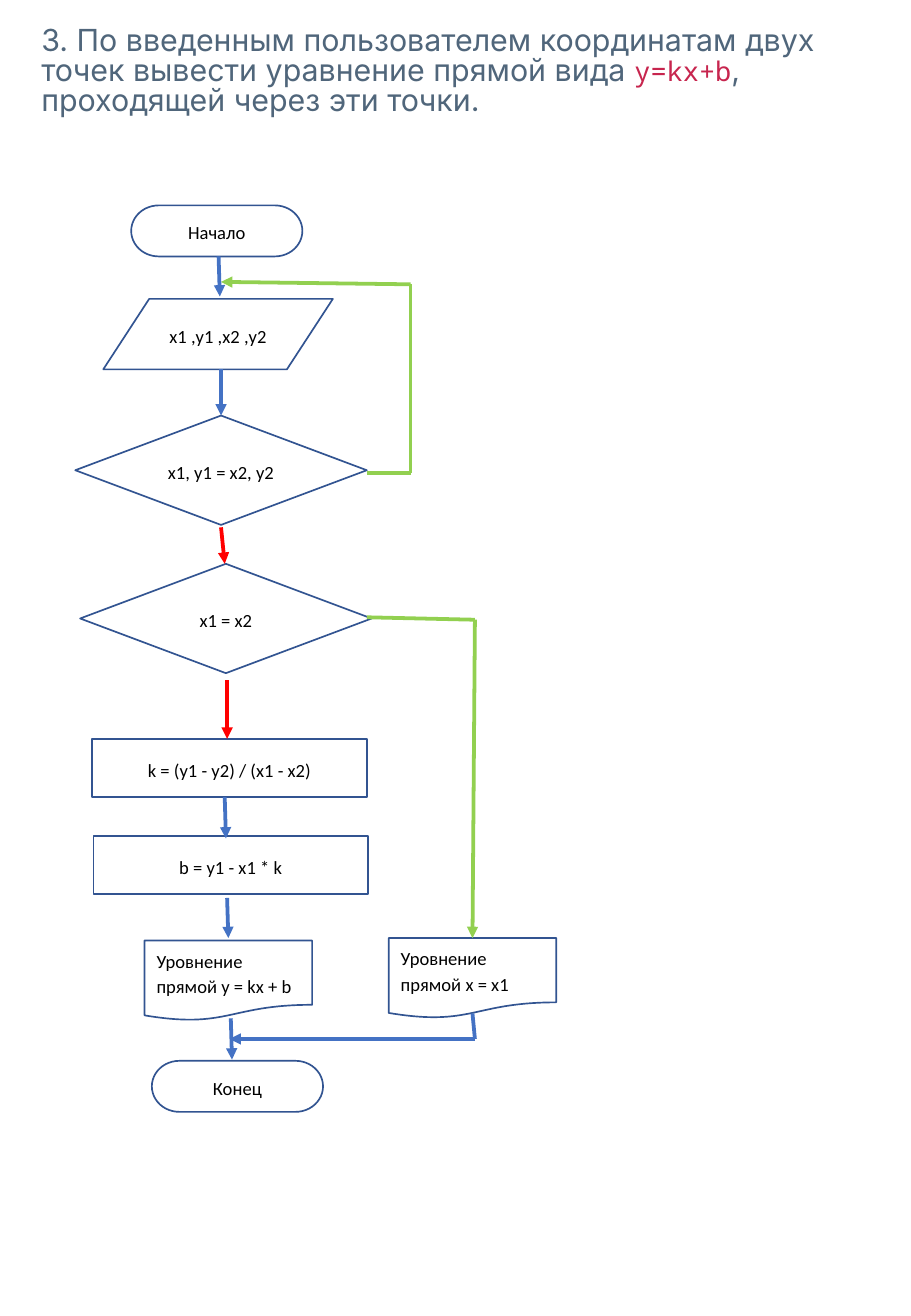
from dataclasses import dataclass
from itertools import pairwise

from lxml import etree
from pptx import Presentation
from pptx import util as u
from pptx.dml.color import RGBColor
from pptx.enum import shapes, text
from pptx.oxml import ns


@dataclass(frozen=True)
class Theme:
    white: str = "FFFFFF"
    black: str = "000000"
    heading: str = "50667B"
    code: str = "C7254E"
    outline: str = "325491"
    step: str = "4472C4"
    yes: str = "92D050"
    no: str = "FF0000"
    heading_font: str = "Inter"
    code_font: str = "Noto Sans Mono"
    node_font: str = "Calibri"
    heading_size: int = 18
    code_size: int = 16
    node_size: int = 11
    outline_width: int = 1
    arrow_width: float = 2.25


THEME = Theme()
KIND = shapes.MSO_SHAPE

NODE_STYLES = {
    "terminator": (KIND.FLOWCHART_TERMINATOR, 1.41, 0.42, False),
    "input": (KIND.FLOWCHART_DATA, 1.89, 0.58, False),
    "decision": (KIND.FLOWCHART_DECISION, 2.4, 0.9, False),
    "process": (KIND.FLOWCHART_PROCESS, 2.26, 0.48, True),
    "document": (KIND.FLOWCHART_DOCUMENT, 1.38, 0.66, True),
}

NODES = [
    ("terminator", 0.46, 0, "Начало"),
    ("input", 0.23, 0.77, "x1 ,y1 ,x2 ,y2"),
    ("decision", 0, 1.73, "x1, y1 = x2, y2"),
    ("decision", 0.04, 2.95, "x1 = x2"),
    ("process", 0.14, 4.39, "k = (y1 - y2) / (x1 - x2)"),
    ("process", 0.15, 5.19, "b = y1 - x1 * k"),
    ("document", 0.57, 6.05, "Уровнение прямой y = kx + b"),
    ("document", 2.58, 6.03, "Уровнение прямой x = x1"),
    ("terminator", 0.63, 7.04, "Конец"),
]

ROUTES = [
    (THEME.step, [(1.18, 0.42), (1.19, 0.75)]),
    (THEME.step, [(1.2, 1.35), (1.2, 1.73)]),
    (THEME.no, [(1.2, 2.65), (1.23, 2.95)]),
    (THEME.no, [(1.25, 3.91), (1.25, 4.39)]),
    (THEME.step, [(1.23, 4.87), (1.24, 5.21)]),
    (THEME.step, [(1.25, 5.7), (1.26, 6.03)]),
    (THEME.step, [(1.28, 6.69), (1.29, 7.03)]),
    (THEME.yes, [(2.4, 2.2), (2.76, 2.2), (2.76, 0.65), (1.2, 0.63)]),
    (THEME.yes, [(2.4, 3.39), (3.29, 3.41), (3.27, 6.03)]),
    (THEME.step, [(3.27, 6.65), (3.29, 6.86), (1.27, 6.86)]),
]


def color(value):
    return RGBColor.from_string(value)


def style_span(span, font, size, value):
    span.font.name = font
    span.font.size = u.Pt(size)
    span.font.color.rgb = color(value)


def add_heading(page, box):
    title = page.shapes.title
    title.left, title.top, title.width, title.height = map(u.Inches, box)
    frame = title.text_frame
    frame.word_wrap = True
    frame.auto_size = text.MSO_AUTO_SIZE.NONE
    frame.vertical_anchor = text.MSO_ANCHOR.TOP
    para = frame.paragraphs[0]
    para.alignment = text.PP_ALIGN.LEFT
    para.line_spacing = u.Pt(18)
    para.space_before = u.Pt(15)
    para.space_after = u.Pt(7.5)
    prose = (THEME.heading_font, THEME.heading_size, THEME.heading)
    code = (THEME.code_font, THEME.code_size, THEME.code)
    for words, style in [
        ("3. По введенным пользователем координатам двух точек "
         "вывести уравнение прямой вида\u00a0", prose),
        ("y=kx+b", code),
        (", проходящей через эти точки.", prose),
    ]:
        span = para.add_run()
        span.text = words
        style_span(span, *style)


def add_node(page, kind, left, top, words):
    preset, width, height, filled = NODE_STYLES[kind]
    node = page.shapes.add_shape(preset, *map(u.Inches, (left, top, width, height)))
    node.shadow.inherit = False
    if filled:
        node.fill.solid()
        node.fill.fore_color.rgb = color(THEME.white)
    else:
        node.fill.background()
    node.line.color.rgb = color(THEME.outline)
    node.line.width = u.Pt(THEME.outline_width)
    is_document = kind == "document"
    frame = node.text_frame
    frame.word_wrap = True
    frame.vertical_anchor = text.MSO_ANCHOR.TOP if is_document else text.MSO_ANCHOR.MIDDLE
    frame.text = words
    para = frame.paragraphs[0]
    para.alignment = text.PP_ALIGN.LEFT if is_document else text.PP_ALIGN.CENTER
    para.line_spacing = 1.15
    para.space_after = u.Pt(10)
    style_span(para.runs[0], THEME.node_font, THEME.node_size, THEME.black)


def add_route(page, value, points):
    for start, end in pairwise(points):
        line = page.shapes.add_connector(
            shapes.MSO_CONNECTOR.STRAIGHT, *map(u.Inches, (*start, *end)))
        line.line.color.rgb = color(value)
        line.line.width = u.Pt(THEME.arrow_width)
        properties = line.element.spPr
        etree.SubElement(properties, ns.qn("a:effectLst"))
    outline = properties.find(ns.qn("a:ln"))
    etree.SubElement(outline, ns.qn("a:tailEnd"), type="triangle")


def add_flowchart(page, left, top):
    for kind, x, y, words in NODES:
        add_node(page, kind, left + x, top + y, words)
    for value, points in ROUTES:
        add_route(page, value, [(left + x, top + y) for x, y in points])


deck = Presentation()
deck.slide_width, deck.slide_height = u.Inches(7.5), u.Inches(10.83)
page = deck.slides.add_slide(deck.slide_layouts.get_by_name("Title Only"))
add_heading(page, (0.24, 0.17, 6.97, 0.86))
add_flowchart(page, 0.62, 1.69)
deck.save("out.pptx")
